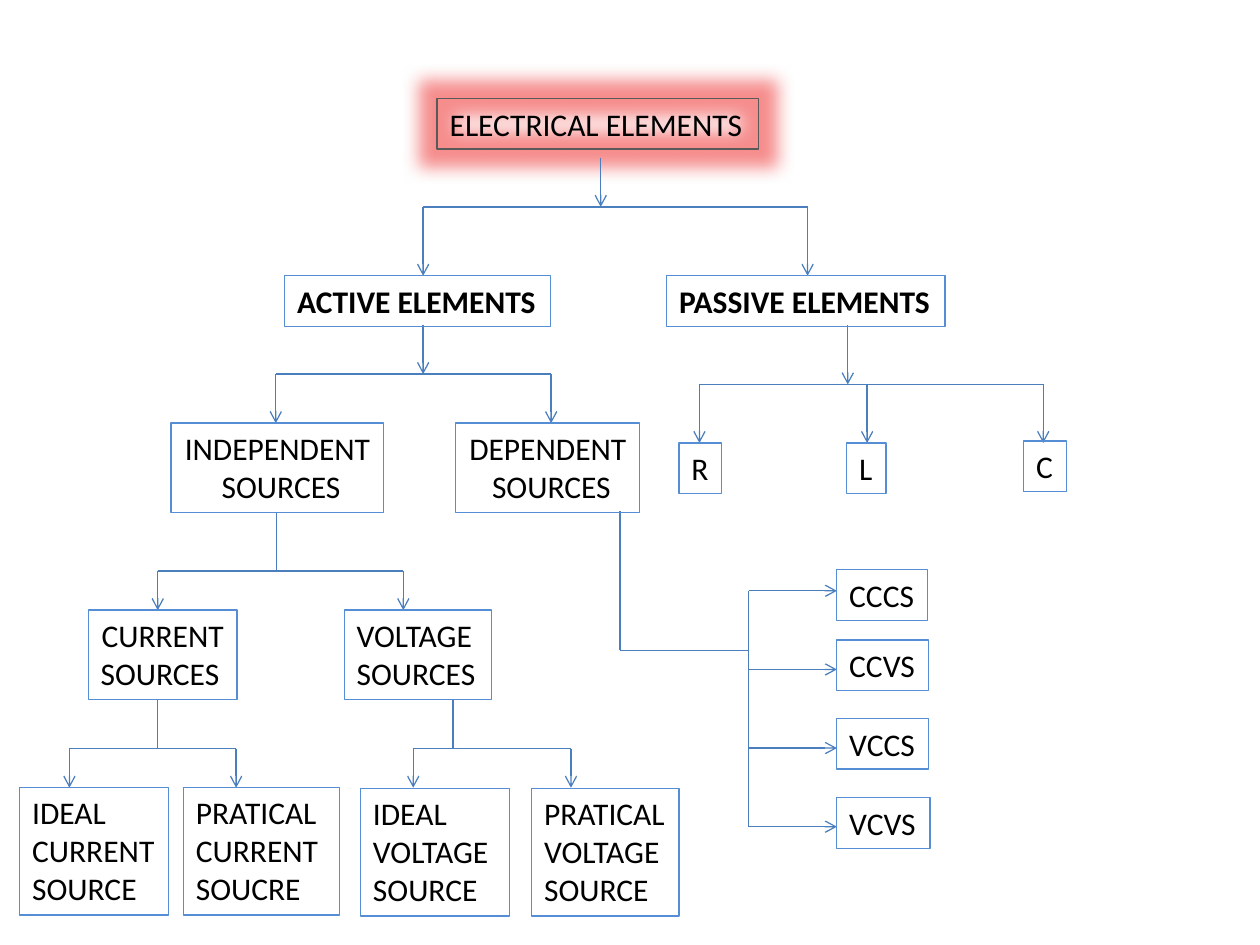
from dataclasses import dataclass

from lxml.etree import SubElement
from pptx import Presentation
from pptx.dml.color import RGBColor
from pptx.enum.shapes import MSO_CONNECTOR as Link, MSO_SHAPE as Preset
from pptx.enum.text import MSO_ANCHOR as Anchor, MSO_AUTO_SIZE as Fit, PP_ALIGN as Align
from pptx.oxml.ns import qn
from pptx.util import Cm, Pt


@dataclass(frozen=True)
class Theme:
    font: str = "Calibri"
    size: float = 18
    line_width: float = 0.75
    text: str = "000000"
    box_line: str = "558ED5"
    connector: str = "4B7EBC"
    title_line: str = "595959"
    glow: str = "EE1C1C"
    glow_alpha: int = 50
    glow_radius: float = 20


@dataclass(frozen=True)
class Node:
    text: str
    left: float
    top: float
    width: float
    bold: bool = False
    centred: int = 0


@dataclass(frozen=True)
class Fork:
    stem: float
    top: float
    bar: float
    drops: tuple[float, ...]
    bottom: float
    arrow: bool = False


THEME = Theme()

TITLE = Node("ELECTRICAL ELEMENTS", 8.81, 1.98, 6.48)

NODES = (
    Node("ACTIVE ELEMENTS", 5.74, 5.56, 5.36, bold=True),
    Node("PASSIVE ELEMENTS", 13.44, 5.56, 5.61, bold=True),
    Node("INDEPENDENT\n SOURCES", 3.45, 8.53, 4.29, centred=2),
    Node("DEPENDENT\n SOURCES", 9.19, 8.53, 3.71, centred=2),
    Node("R", 13.69, 8.93, 0.86),
    Node("L", 17.07, 8.93, 0.79),
    Node("C", 20.64, 8.89, 0.86),
    Node("CURRENT\nSOURCES", 1.78, 12.3, 3, centred=1),
    Node("VOLTAGE\nSOURCES", 6.94, 12.3, 2.97),
    Node("IDEAL\nCURRENT\nSOURCE", 0.4, 15.87, 3),
    Node("PRATICAL\nCURRENT\nSOUCRE", 3.7, 15.87, 3.15),
    Node("IDEAL\nVOLTAGE\nSOURCE", 7.27, 15.89, 3),
    Node("PRATICAL\nVOLTAGE\nSOURCE", 10.72, 15.89, 2.97),
    Node("CCCS", 16.87, 11.48, 1.83),
    Node("CCVS", 16.87, 12.9, 1.85),
    Node("VCCS", 16.87, 14.48, 1.85),
    Node("VCVS", 16.87, 16.08, 1.88),
)

FORKS = (
    Fork(12.11, 3.18, 4.17, (8.53, 16.28), 5.56, arrow=True),
    Fork(8.53, 6.55, 7.54, (5.56, 11.11), 8.53, arrow=True),
    Fork(17.09, 6.55, 7.75, (14.1, 17.48, 21.03), 8.93, arrow=True),
    Fork(5.57, 10.34, 11.51, (3.18, 8.13), 12.3),
    Fork(3.18, 14.1, 15.09, (1.4, 4.76), 15.88),
    Fork(9.13, 14.1, 15.09, (8.33, 11.51), 15.88),
)


def set_line(line, color: str) -> None:
    """Give an outline its colour and the common width."""
    line.color.rgb = RGBColor.from_string(color)
    line.width = Pt(THEME.line_width)


def draw_line(page, start: tuple[float, float], end: tuple[float, float], arrow: bool = False) -> None:
    """Draw a straight connector, with an open arrowhead at its end if asked."""
    connector = page.shapes.add_connector(Link.STRAIGHT, *map(Cm, start + end))
    set_line(connector.line, THEME.connector)
    if arrow:
        SubElement(connector.line._get_or_add_ln(), qn("a:tailEnd"), type="arrow")
    SubElement(connector._element.spPr, qn("a:effectLst"))


def draw_fork(page, fork: Fork) -> None:
    """Draw a stem, a crossbar and an arrow down to each child."""
    draw_line(page, (fork.stem, fork.top), (fork.stem, fork.bar), fork.arrow)
    draw_line(page, (fork.drops[0], fork.bar), (fork.drops[-1], fork.bar))
    for drop in fork.drops:
        draw_line(page, (drop, fork.bar), (drop, fork.bottom), arrow=True)


def draw_side_fork(page) -> None:
    """Link the dependent sources to the four kinds at their right."""
    stem, spine, tip, elbow = 12.5, 15.09, 16.87, 13.11
    rows = [11.91 + 1.585 * index for index in range(4)]
    draw_line(page, (stem, 10.31), (stem, elbow))
    draw_line(page, (stem, elbow), (spine, elbow))
    draw_line(page, (spine, rows[0]), (spine, rows[-1]))
    for row in rows:
        draw_line(page, (spine, row), (tip, row), arrow=True)


def write_text(box, text: str, *, bold: bool = False, centred: int = 0, fit: Fit = Fit.SHAPE_TO_FIT_TEXT) -> None:
    """Write one paragraph per line, centring the first ones as counted."""
    frame = box.text_frame
    frame.text = text
    frame.word_wrap = False
    frame.auto_size = fit
    frame.vertical_anchor = Anchor.TOP
    for index, para in enumerate(frame.paragraphs):
        para.alignment = Align.CENTER if index < centred else Align.LEFT
        for span in para.runs:
            span.font.name = THEME.font
            span.font.size = Pt(THEME.size)
            span.font.bold = bold
            span.font.color.rgb = RGBColor.from_string(THEME.text)


def node_frame(node: Node) -> tuple:
    """Return the place and size of a node, its height set by its lines."""
    height = 0.25 + 0.775 * len(node.text.split("\n"))
    return Cm(node.left), Cm(node.top), Cm(node.width), Cm(height)


def draw_node(page, node: Node) -> None:
    """Draw an unfilled, outlined box with its label."""
    box = page.shapes.add_shape(Preset.RECTANGLE, *node_frame(node))
    box.shadow.inherit = False
    box.fill.background()
    set_line(box.line, THEME.box_line)
    write_text(box, node.text, bold=node.bold, centred=node.centred)


def draw_title(page, node: Node) -> None:
    """Move the title placeholder and give it an outline and a glow."""
    title = page.shapes.title
    title.left, title.top, title.width, title.height = node_frame(node)
    title.fill.background()
    set_line(title.line, THEME.title_line)
    write_text(title, node.text, fit=Fit.NONE)
    effects = SubElement(title._element.spPr, qn("a:effectLst"))
    glow = SubElement(effects, qn("a:glow"), rad=str(Pt(THEME.glow_radius)))
    color = SubElement(glow, qn("a:srgbClr"), val=THEME.glow)
    SubElement(color, qn("a:alpha"), val=str(THEME.glow_alpha * 1000))


def main() -> None:
    """Build the slide and save the deck."""
    deck = Presentation()
    deck.slide_width, deck.slide_height = Cm(25.4), Cm(19.05)
    page = deck.slides.add_slide(deck.slide_layouts[5])
    draw_title(page, TITLE)
    for fork in FORKS:
        draw_fork(page, fork)
    draw_side_fork(page)
    for node in NODES:
        draw_node(page, node)
    deck.save("out.pptx")


if __name__ == "__main__":
    main()
